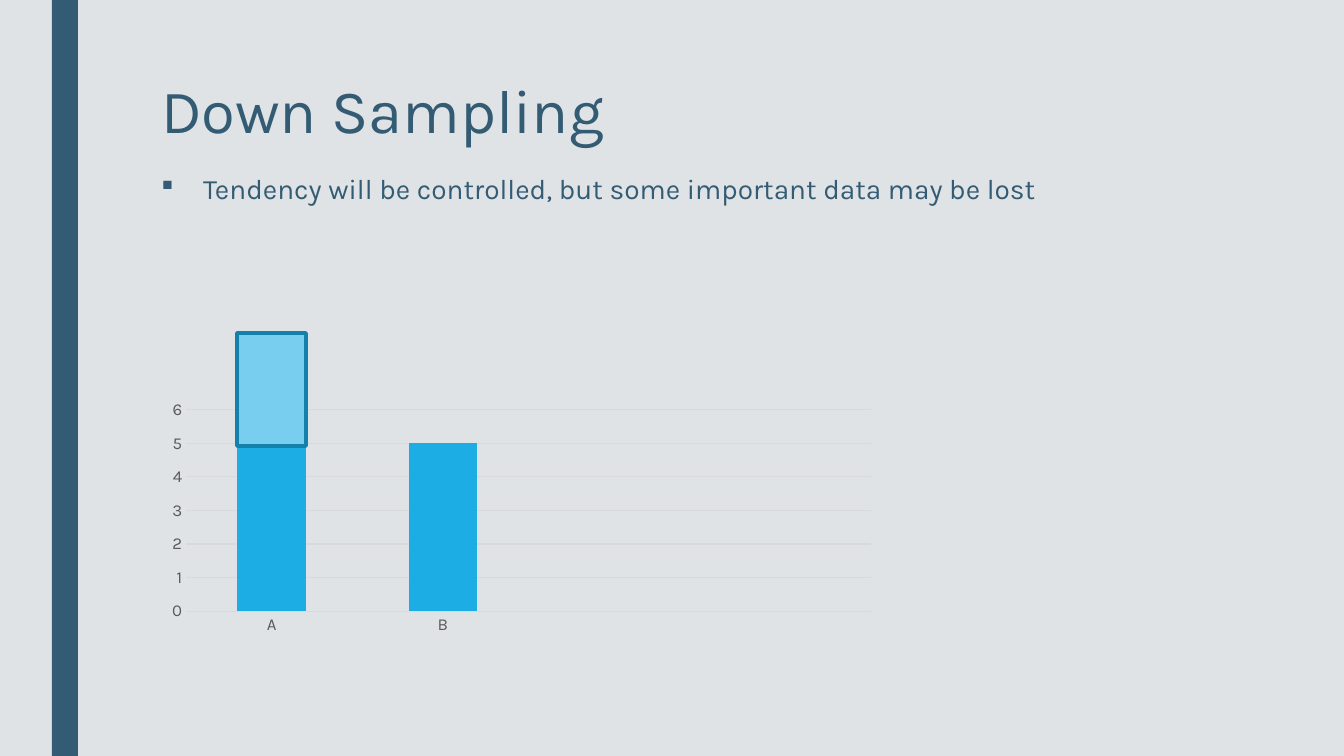
import pptx
import pptx.chart.data
import pptx.dml.color
import pptx.enum.chart
import pptx.enum.shapes
import pptx.enum.text
import pptx.oxml
import pptx.oxml.ns
import pptx.util

PIXEL = 914400 / 100.8
FONT = "Karla"
COLORS = {
    "background": "DFE3E5", "ink": "335B74", "axis_text": "595959", "grid": "D9D9D9",
    "Series 1": "1CADE4", "Series 2": "2683C6", "Series 3": "27CED7",
    "removed": "77CEEF", "removed_edge": "1580A9",
}


def px(length):
    """Convert pixels to EMU."""
    return pptx.util.Emu(round(length * PIXEL))


def rgb(name):
    """Look up a colour by its role."""
    return pptx.dml.color.RGBColor.from_string(COLORS[name])


def apply(target, formats):
    """Set attributes from a dict of values."""
    for key, value in formats.items():
        setattr(target, key, value)


def place(part, box):
    """Move a part to a pixel box."""
    apply(part, dict(zip(("left", "top", "width", "height"), map(px, box))))


def style_font(font, size, color):
    """Give a font the slide's typeface, a size and a colour."""
    apply(font, {"name": FONT, "size": pptx.util.Pt(size)})
    font.color.rgb = rgb(color)


def add_block(slide, box, fill, edge=None):
    """Add a plain rectangle with an optional edge."""
    block = slide.shapes.add_shape(pptx.enum.shapes.MSO_SHAPE.RECTANGLE, *map(px, box))
    block.shadow.inherit = False
    block.fill.solid()
    block.fill.fore_color.rgb = rgb(fill)
    if edge:
        block.line.color.rgb = rgb(edge)
        block.line.width = pptx.util.Pt(2.75)
    else:
        block.line.fill.background()


def fill_placeholder(placeholder, box, text, size, spacing):
    """Place a placeholder and write its one paragraph."""
    place(placeholder, box)
    frame = placeholder.text_frame
    apply(frame, {
        "text": text, "word_wrap": True,
        "auto_size": pptx.enum.text.MSO_AUTO_SIZE.NONE,
        "vertical_anchor": pptx.enum.text.MSO_ANCHOR.TOP,
    })
    paragraph = frame.paragraphs[0]
    apply(paragraph, {"alignment": pptx.enum.text.PP_ALIGN.LEFT, **spacing})
    style_font(paragraph.runs[0].font, size, "ink")
    return paragraph


def add_text(slide, box):
    """Write the title and the bulleted statement."""
    left, top, width, height = box
    fill_placeholder(slide.shapes.title, (left, top, width, 163), "Down Sampling", 44,
                     {"line_spacing": 0.89})
    statement = fill_placeholder(
        slide.placeholders[1], (left, top + 93, width - 11, height - 93),
        "Tendency will be controlled, but some important data may be lost", 20,
        {"line_spacing": 0.94, "space_before": pptx.util.Pt(10),
         "space_after": pptx.util.Pt(2)})
    properties = statement._p.get_or_add_pPr()
    properties.set("marL", str(px(42)))
    properties.set("indent", str(px(-42)))
    for tag, key, value in (("buFont", "typeface", "Wingdings"), ("buChar", "char", "§")):
        bullet = pptx.oxml.parse_xml(
            f'<a:{tag} {pptx.oxml.ns.nsdecls("a")} {key}="{value}"/>')
        properties.append(bullet)


def set_plot_area(chart, box):
    """Fix the inner plot area as fractions of the chart."""
    parts = "".join(f'<c:{key} val="{value}"/>' for key, value in zip("xywh", box))
    layout = pptx.oxml.parse_xml(
        f'<c:layout {pptx.oxml.ns.nsdecls("c")}><c:manualLayout>'
        '<c:layoutTarget val="inner"/><c:xMode val="edge"/><c:yMode val="edge"/>'
        f'{parts}</c:manualLayout></c:layout>')
    plot_area = chart._chartSpace.chart.plotArea
    for previous in plot_area.findall(pptx.oxml.ns.qn("c:layout")):
        plot_area.remove(previous)
    plot_area.insert(0, layout)


def add_sample_chart(slide, box):
    """Draw the class counts and the block of removed samples."""
    counts = pptx.chart.data.CategoryChartData()
    counts.categories = ["A", "B", "", ""]
    for name, values in (("Series 1", [5, 5, None, None]),
                         ("Series 2", [None] * 4), ("Series 3", [None] * 4)):
        counts.add_series(name, values)
    chart = slide.shapes.add_chart(
        pptx.enum.chart.XL_CHART_TYPE.COLUMN_STACKED, *map(px, box), counts).chart
    apply(chart, {"has_legend": False, "has_title": False})
    style_font(chart.font, 10, "axis_text")
    set_plot_area(chart, (0.048, 0.027, 0.934, 0.759))

    plot = chart.plots[0]
    apply(plot, {"gap_width": 150, "overlap": 100, "vary_by_categories": False})
    for series in plot.series:
        series.format.fill.solid()
        series.format.fill.fore_color.rgb = rgb(series.name)

    no_tick = pptx.enum.chart.XL_TICK_MARK.NONE
    for axis in (chart.category_axis, chart.value_axis):
        apply(axis, {"major_tick_mark": no_tick, "minor_tick_mark": no_tick})
        style_font(axis.tick_labels.font, 12, "axis_text")
    apply(chart.value_axis, {"minimum_scale": 0, "maximum_scale": 6, "major_unit": 1,
                             "has_major_gridlines": True})
    chart.value_axis.format.line.fill.background()
    for line in (chart.category_axis.format.line,
                 chart.value_axis.major_gridlines.format.line):
        line.color.rgb = rgb("grid")
        line.width = pptx.util.Pt(0.75)

    left, top = box[:2]
    add_block(slide, (left + 86, top - 67, 69, 113), "removed", "removed_edge")


def build_slide(deck):
    """Compose the down sampling slide."""
    slide = deck.slides.add_slide(deck.slide_layouts[1])
    slide.background.fill.solid()
    slide.background.fill.fore_color.rgb = rgb("background")
    add_block(slide, (52, 0, 26, 756), "ink")
    add_text(slide, (151, 76, 1058, 499))
    add_sample_chart(slide, (151, 400, 733, 268))


deck = pptx.Presentation()
apply(deck, {"slide_width": px(1344), "slide_height": px(756)})
build_slide(deck)
deck.save("out.pptx")
